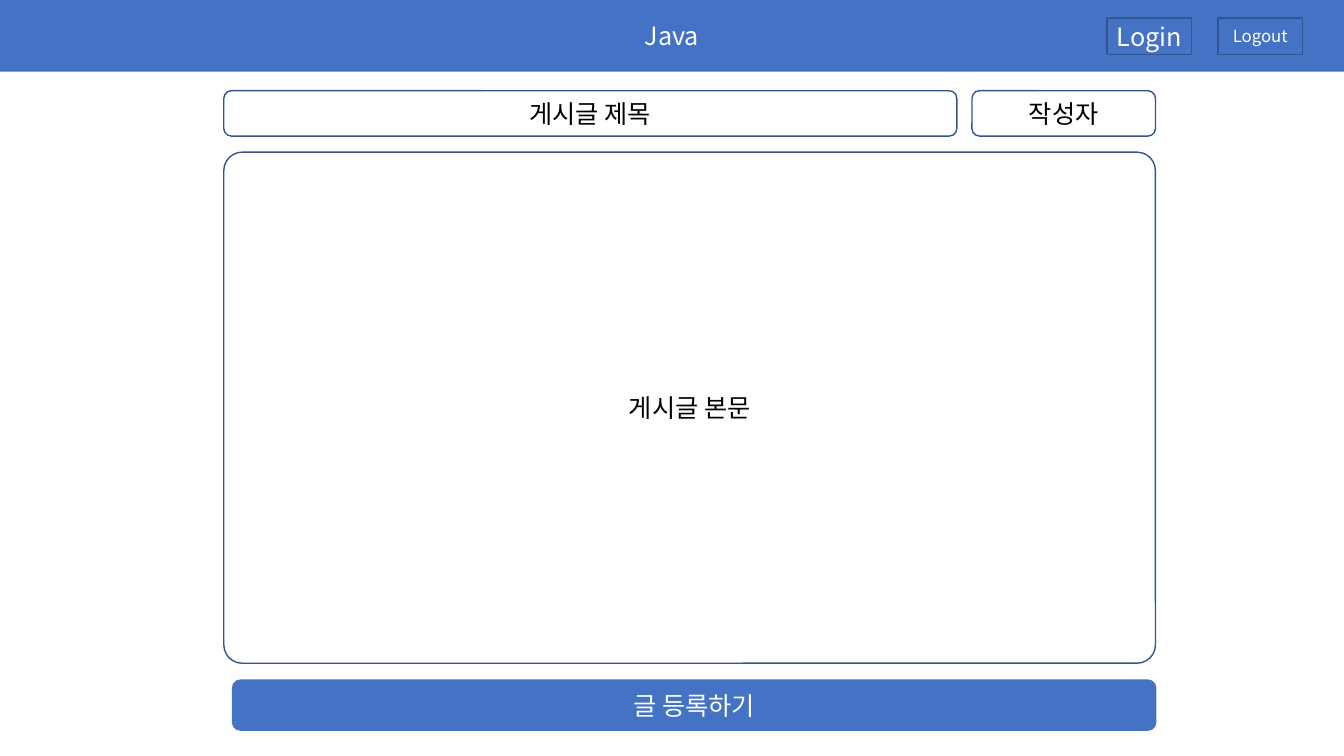
import dataclasses

import lxml.etree
import pptx
import pptx.dml.color
import pptx.enum.shapes
import pptx.enum.text
import pptx.oxml.ns
import pptx.util

Inches = pptx.util.Inches
RECTANGLE = pptx.enum.shapes.MSO_SHAPE.RECTANGLE
ROUNDED = pptx.enum.shapes.MSO_SHAPE.ROUNDED_RECTANGLE


@dataclasses.dataclass(frozen=True)
class Theme:
    font: str = "Noto Sans CJK KR"
    blue: str = "4472C4"
    outline: str = "325491"
    white: str = "FFFFFF"
    black: str = "000000"
    normal_size: int = 18
    small_size: int = 12
    line_width: int = 1


class PostForm:
    def __init__(self, slide, theme):
        self.slide = slide
        self.theme = theme

    def box(self, text, bounds, preset, fill=None, line=None, color=None, size=None):
        """Draw a labelled shape; bounds are left, top, width, height in inches."""
        shape = self.slide.shapes.add_shape(preset, *map(Inches, bounds))
        shape.shadow.inherit = False
        if fill:
            shape.fill.solid()
            shape.fill.fore_color.rgb = pptx.dml.color.RGBColor.from_string(fill)
        else:
            shape.fill.background()
        if line:
            shape.line.color.rgb = pptx.dml.color.RGBColor.from_string(line)
            shape.line.width = pptx.util.Pt(self.theme.line_width)
        else:
            shape.line.fill.background()
        self.label(shape, text, color or self.theme.white, size or self.theme.normal_size)
        return shape

    def label(self, shape, text, color, size):
        frame = shape.text_frame
        frame.text = text
        frame.word_wrap = True
        frame.margin_left = frame.margin_right = Inches(0.05)
        frame.vertical_anchor = pptx.enum.text.MSO_ANCHOR.MIDDLE
        paragraph = frame.paragraphs[0]
        paragraph.alignment = pptx.enum.text.PP_ALIGN.CENTER
        font = paragraph.runs[0].font
        font.name = self.theme.font
        font.size = pptx.util.Pt(size)
        font.color.rgb = pptx.dml.color.RGBColor.from_string(color)
        # Korean glyphs take their typeface from the East Asian slot.
        properties = paragraph.runs[0]._r.get_or_add_rPr()
        east_asian = lxml.etree.SubElement(properties, pptx.oxml.ns.qn("a:ea"))
        east_asian.set("typeface", self.theme.font)

    def header(self, text, bounds):
        return self.box(text, bounds, RECTANGLE, fill=self.theme.blue)

    def header_button(self, text, left, size):
        return self.box(text, (left, 0.18, 0.84, 0.36), RECTANGLE,
                        fill=self.theme.blue, line=self.theme.outline, size=size)

    def field(self, text, bounds):
        return self.box(text, bounds, ROUNDED,
                        line=self.theme.outline, color=self.theme.black)

    def submit_button(self, text, bounds):
        return self.box(text, bounds, ROUNDED, fill=self.theme.blue)


def main():
    presentation = pptx.Presentation()
    presentation.slide_width = Inches(13.33)
    presentation.slide_height = Inches(7.5)
    theme = Theme()
    form = PostForm(presentation.slides.add_slide(presentation.slide_layouts[6]), theme)

    form.header("Java", (0, 0, 13.33, 0.71))
    form.header_button("Login", 10.98, theme.normal_size)
    form.header_button("Logout", 12.08, theme.small_size)

    form.field("게시글 제목", (2.22, 0.9, 7.27, 0.45))
    body = form.field("게시글 본문", (2.22, 1.51, 9.24, 5.07))
    body.adjustments[0] = 0.036
    form.field("작성자", (9.64, 0.9, 1.82, 0.45))
    form.submit_button("글 등록하기", (2.3, 6.74, 9.17, 0.51))

    presentation.save("out.pptx")


if __name__ == "__main__":
    main()
